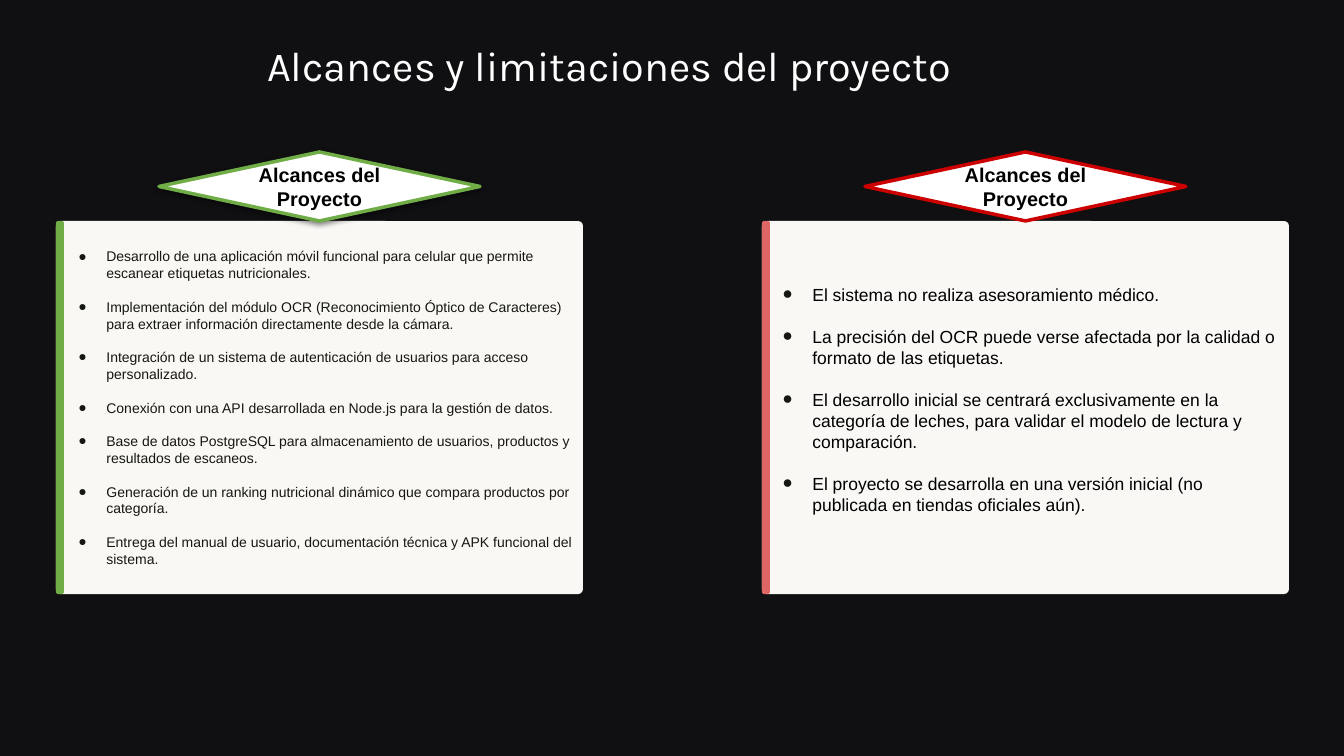
from dataclasses import dataclass

import lxml.etree
import pptx
import pptx.dml.color
import pptx.enum.shapes
import pptx.enum.text
import pptx.oxml
import pptx.oxml.ns
import pptx.util

RGB = pptx.dml.color.RGBColor
SHAPES = pptx.enum.shapes.MSO_SHAPE
ANCHOR = pptx.enum.text.MSO_ANCHOR
ALIGN = pptx.enum.text.PP_ALIGN
qn = pptx.oxml.ns.qn

BACKGROUND = RGB(0x10, 0x10, 0x13)
CREAM = RGB(0xF9, 0xF8, 0xF5)
INK = RGB(0x16, 0x16, 0x13)
WHITE = RGB(0xFF, 0xFF, 0xFF)
BLACK = RGB(0x00, 0x00, 0x00)
GREEN = RGB(0x70, 0xAD, 0x47)
CORAL = RGB(0xE0, 0x66, 0x66)
RED = RGB(0xCC, 0x00, 0x00)

PX_PER_INCH = 84
LINE_HEIGHT = 1.2
CARD_TOP, CARD_WIDTH, CARD_HEIGHT = 221, 527, 373
STRIPE_WIDTH = 8
DIAMOND_OFFSET, DIAMOND_WIDTH, DIAMOND_HEIGHT = 103, 321, 69
TEXT_INDENT = 42

CARD_GEOMETRY = (
    f'<a:prstGeom {pptx.oxml.ns.nsdecls("a")} prst="roundRect"><a:avLst>'
    '<a:gd name="adj" fmla="val 1300"/></a:avLst></a:prstGeom>'
)
DIAMOND_SHADOW = (
    f'<a:effectLst {pptx.oxml.ns.nsdecls("a")}>'
    '<a:outerShdw blurRad="57150" dist="19050" dir="5400000" algn="bl" rotWithShape="0">'
    '<a:srgbClr val="000000"><a:alpha val="50000"/></a:srgbClr>'
    '</a:outerShdw></a:effectLst>'
)


@dataclass
class Panel:
    placeholder: int
    left: int
    heading: str
    items: list[str]
    size: int
    text_color: RGB
    stripe_color: RGB
    outline_color: RGB
    hanging: int
    bottom_inset: int
    shadow: bool


PANELS = [
    Panel(1, 56, "Alcances del Proyecto", [
        "Desarrollo de una aplicación móvil funcional para celular que permite escanear etiquetas nutricionales.",
        "Implementación del módulo OCR (Reconocimiento Óptico de Caracteres) para extraer información directamente desde la cámara.",
        "Integración de un sistema de autenticación de usuarios para acceso personalizado.",
        "Conexión con una API desarrollada en Node.js para la gestión de datos.",
        "Base de datos PostgreSQL para almacenamiento de usuarios, productos y resultados de escaneos.",
        "Generación de un ranking nutricional dinámico que compara productos por categoría.",
        "Entrega del manual de usuario, documentación técnica y APK funcional del sistema.",
    ], 12, INK, GREEN, GREEN, 28, 7, True),
    Panel(2, 762, "Alcances del Proyecto", [
        "El sistema no realiza asesoramiento médico.",
        "La precisión del OCR puede verse afectada por la calidad o formato de las etiquetas.",
        "El desarrollo inicial se centrará exclusivamente en la categoría de leches, para validar el modelo de lectura y comparación.",
        "El proyecto se desarrolla en una versión inicial (no publicada en tiendas oficiales aún).",
    ], 15, BLACK, CORAL, RED, 30, 24, False),
]


def px(value: int) -> pptx.util.Emu:
    return pptx.util.Emu(round(value * 914400 / PX_PER_INCH))


def place(shape, left: int, top: int, width: int, height: int) -> None:
    shape.left, shape.top, shape.width, shape.height = map(px, (left, top, width, height))


def set_frame(frame, anchor, left: int, top: int, right: int, bottom: int) -> None:
    frame.word_wrap = True
    frame.auto_size = pptx.enum.text.MSO_AUTO_SIZE.NONE
    frame.vertical_anchor = anchor
    frame.margin_left, frame.margin_top = px(left), px(top)
    frame.margin_right, frame.margin_bottom = px(right), px(bottom)


def add_run(paragraph, text: str, font: str, size: float, color: RGB, bold: bool = False) -> None:
    run = paragraph.add_run()
    run.text = text
    run.font.name = font
    run.font.size = pptx.util.Pt(size)
    run.font.color.rgb = color
    run.font.bold = bold


def add_bullet(paragraph, hanging: int) -> None:
    properties = paragraph._p.get_or_add_pPr()
    properties.set("marL", str(px(TEXT_INDENT)))
    properties.set("indent", str(-px(hanging)))
    color = lxml.etree.SubElement(properties, qn("a:buClr"))
    lxml.etree.SubElement(color, qn("a:srgbClr"), val=str(INK))
    lxml.etree.SubElement(properties, qn("a:buFont"), typeface="Arial")
    lxml.etree.SubElement(properties, qn("a:buChar"), char="●")


def add_shape(slide, kind, left: int, top: int, width: int, height: int, fill: RGB):
    shape = slide.shapes.add_shape(kind, *map(px, (left, top, width, height)))
    shape.shadow.inherit = False
    shape.fill.solid()
    shape.fill.fore_color.rgb = fill
    shape.line.fill.background()
    return shape


def draw_panel(slide, panel: Panel) -> None:
    # Card with its list
    card = slide.placeholders[panel.placeholder]
    place(card, panel.left, CARD_TOP, CARD_WIDTH, CARD_HEIGHT)
    card._element.spPr.insert(1, pptx.oxml.parse_xml(CARD_GEOMETRY))
    card.fill.solid()
    card.fill.fore_color.rgb = CREAM
    set_frame(card.text_frame, ANCHOR.MIDDLE, 7, 7, 7, panel.bottom_inset)
    line_height = pptx.util.Pt(panel.size * LINE_HEIGHT)
    for index, item in enumerate(panel.items):
        paragraph = card.text_frame.add_paragraph() if index else card.text_frame.paragraphs[0]
        add_bullet(paragraph, panel.hanging)
        paragraph.line_spacing = line_height
        paragraph.space_before = line_height if index else pptx.util.Pt(0)
        add_run(paragraph, item, "Arial", panel.size, panel.text_color)

    # Coloured edge
    stripe = add_shape(slide, SHAPES.ROUNDED_RECTANGLE, panel.left, CARD_TOP,
                       STRIPE_WIDTH, CARD_HEIGHT, panel.stripe_color)
    stripe.adjustments[0] = 0.28

    # Heading diamond
    diamond = add_shape(slide, SHAPES.DIAMOND, panel.left + DIAMOND_OFFSET,
                        CARD_TOP - DIAMOND_HEIGHT, DIAMOND_WIDTH, DIAMOND_HEIGHT, WHITE)
    diamond.line.color.rgb = panel.outline_color
    diamond.line.width = pptx.util.Pt(3)
    if panel.shadow:
        properties = diamond._element.spPr
        properties.replace(properties.find(qn("a:effectLst")), pptx.oxml.parse_xml(DIAMOND_SHADOW))
    set_frame(diamond.text_frame, ANCHOR.MIDDLE, 8, 8, 8, 8)
    heading = diamond.text_frame.paragraphs[0]
    heading.alignment = ALIGN.CENTER
    heading.line_spacing = pptx.util.Pt(17 * LINE_HEIGHT)
    add_run(heading, panel.heading, "Arial", 17, BLACK, bold=True)


def main() -> None:
    presentation = pptx.Presentation()
    presentation.slide_width = px(16 * PX_PER_INCH)
    presentation.slide_height = px(9 * PX_PER_INCH)
    slide = presentation.slides.add_slide(presentation.slide_layouts.get_by_name("Two Content"))
    slide.background.fill.solid()
    slide.background.fill.fore_color.rgb = BACKGROUND

    # Title
    title = slide.shapes.title
    place(title, 267, 28, 738, 52)
    set_frame(title.text_frame, ANCHOR.TOP, 0, 0, 0, 0)
    title_line = title.text_frame.paragraphs[0]
    title_line.alignment = ALIGN.LEFT
    title_line.line_spacing = 1.25
    add_run(title_line, "Alcances y limitaciones del proyecto", "Karla", 35.5, WHITE)

    # Panels
    for panel in PANELS:
        draw_panel(slide, panel)

    # Unused footer placeholders
    for placeholder in list(slide.placeholders):
        if not placeholder.text_frame.text:
            placeholder._element.getparent().remove(placeholder._element)

    presentation.save("out.pptx")


if __name__ == "__main__":
    main()
